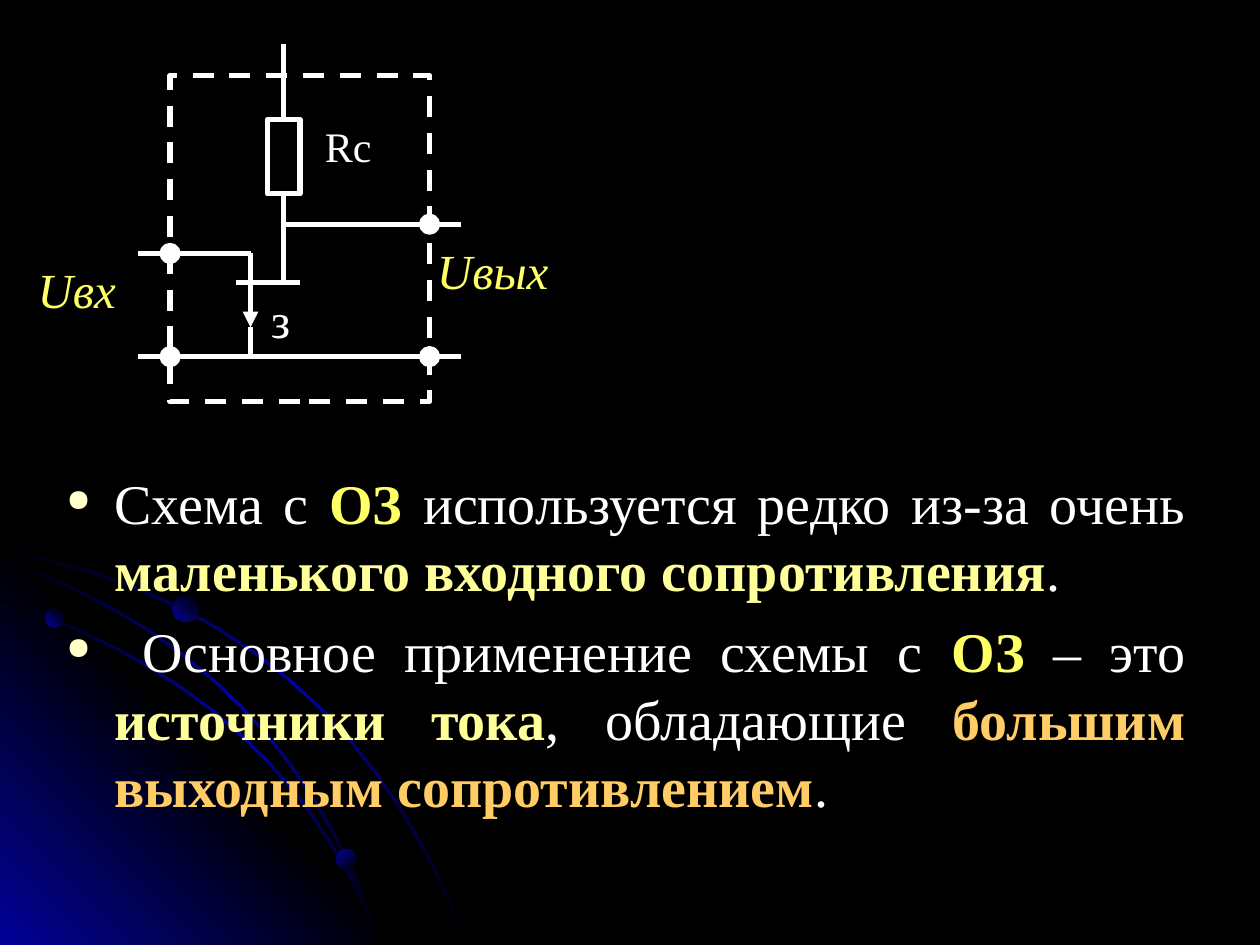
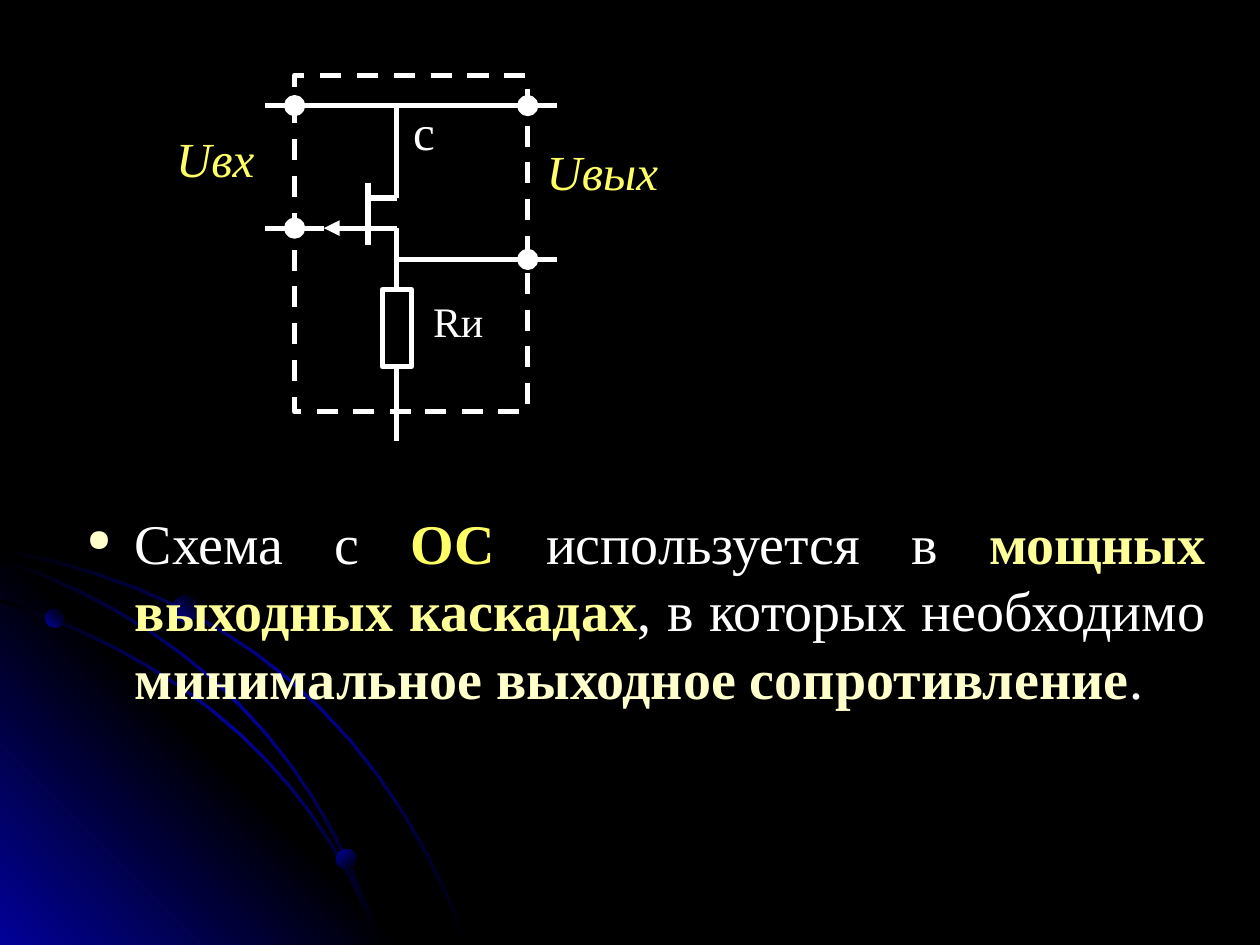
from lxml.etree import SubElement
from pptx import Presentation
from pptx.dml.color import RGBColor
from pptx.enum.dml import MSO_LINE
from pptx.enum.shapes import MSO_CONNECTOR, MSO_SHAPE
from pptx.enum.text import PP_ALIGN
from pptx.oxml.ns import qn
from pptx.util import Cm, Pt

# Shared style; plain numbers are centimetres
FONT = "Times New Roman"
BLACK = RGBColor(0x00, 0x00, 0x00)
BLUE = RGBColor(0x01, 0x01, 0x99)
WHITE = RGBColor(0xFF, 0xFF, 0xFF)
YELLOW = RGBColor(0xFF, 0xFF, 0x66)
PALE_YELLOW = RGBColor(0xFF, 0xFF, 0x99)
CREAM = RGBColor(0xFF, 0xFF, 0xCC)
ORANGE = RGBColor(0xFF, 0xCC, 0x66)

SLIDE_WIDTH, SLIDE_HEIGHT = 25.4, 19.05
WIRE_WIDTH = Pt(3)
TERMINAL_SIZE = 0.32
BODY_WIDTH = 23.06
BULLET_INDENT = Cm(0.97)

# Corner decoration: a glowing triangle, three orbits and three planets
CORNER_SIZE = 8.18
ORBIT_WIDTH = 0.07
ORBIT_STEPS = 14
ORBITS = [  # start on the left edge, control point of the bend, end on the bottom edge
    ((0, 11.05), (6.95, 12.3), (9.45, SLIDE_HEIGHT)),
    ((0, 12.07), (5.8, 13.95), (7.7, SLIDE_HEIGHT)),
    ((0, 11.23), (5.85, 13.25), (7.7, SLIDE_HEIGHT)),
]
PLANETS = [  # left, top, diameter, gradient angle
    (0.91, 12.27, 0.38, 135),
    (6.78, 17.12, 0.41, 225),
    (3.48, 12.01, 0.53, 135),
]

# Common gate: the source enters from the left, the gate is the lower rail
left, right, top, bottom = 3.43, 8.66, 1.52, 8.1
stub = 0.64
source_x, drain_x = 5.05, 5.72
output_y, source_y, channel_y, arrow_y, rail_y = 4.52, 5.11, 5.69, 6.6, 7.19
resistor_top, resistor_bottom = 2.41, 3.91
common_gate = {
    "frame": (left, top, right, bottom),
    "resistor": (drain_x, resistor_top, resistor_bottom, 0.66),
    "terminals": [(left, source_y), (left, rail_y), (right, output_y), (right, rail_y)],
    "wires": [
        [(left - stub, source_y), (source_x, source_y)],
        [(left - stub, rail_y), (right + stub, rail_y)],
        [(drain_x, output_y), (right + stub, output_y)],
        [(drain_x, top - stub), (drain_x, resistor_top)],
        [(drain_x, resistor_bottom), (drain_x, channel_y)],
        [(source_x - 0.3, channel_y), (drain_x + 0.33, channel_y)],
        [(source_x, arrow_y), (source_x, rail_y)],
    ],
    "arrow": [(source_x, source_y), (source_x, arrow_y)],
    "labels": [
        ("Rс", (6.3, 2.31, 2.62, 1.5), 24, WHITE),
        ("з", (5.21, 5.72, 1.63, 1.5), 28, WHITE),
        ("Uвх", (0.51, 5.11, 3.25, 1.8), 28, YELLOW),
        ("Uвых", (8.56, 4.72, 4.52, 1.78), 28, YELLOW),
    ],
    "body": (1.09, 9.32, BODY_WIDTH, 7.77),
    "bullets": [
        [("Схема с ", WHITE), ("ОЗ", YELLOW), (" используется редко из-за очень ", WHITE),
         ("маленького входного сопротивления", PALE_YELLOW), (".", WHITE)],
        [(" Основное применение схемы с ", WHITE), ("ОЗ", YELLOW), (" – это ", WHITE),
         ("источники тока", PALE_YELLOW), (", обладающие ", WHITE),
         ("большим выходным сопротивлением", ORANGE), (".", WHITE)],
    ],
}

# Common drain: the gate enters from the left, the drain is the upper rail
left, right, top, bottom = 5.94, 10.64, 1.52, 8.3
stub = 0.59
arrow_x, channel_x, source_x = 6.53, 7.42, 8
rail_y, drain_y, gate_y, output_y = 2.13, 3.99, 4.6, 5.23
resistor_top, resistor_bottom = 5.84, 7.39
common_drain = {
    "frame": (left, top, right, bottom),
    "resistor": (source_x, resistor_top, resistor_bottom, 0.58),
    "terminals": [(left, rail_y), (left, gate_y), (right, rail_y), (right, output_y)],
    "wires": [
        [(left - stub, gate_y), (arrow_x, gate_y)],
        [(left - stub, rail_y), (right + stub, rail_y)],
        [(source_x, output_y), (right + stub, output_y)],
        [(channel_x, drain_y - 0.31), (channel_x, gate_y + 0.33)],
        [(channel_x, drain_y), (source_x, drain_y), (source_x, rail_y)],
        [(channel_x, gate_y), (source_x, gate_y), (source_x, resistor_top)],
        [(source_x, resistor_bottom), (source_x, bottom + stub)],
    ],
    "arrow": [(channel_x, gate_y), (arrow_x, gate_y)],
    "labels": [
        ("Rи", (8.48, 5.84, 1.88, 1.55), 24, WHITE),
        ("с", (8.08, 1.93, 1.12, 1.24), 28, WHITE),
        ("Uвх", (3.3, 2.46, 2.95, 1.85), 28, YELLOW),
        ("Uвых", (10.77, 2.72, 3.53, 1.85), 28, YELLOW),
    ],
    "body": (1.5, 10.13, BODY_WIDTH, 6.17),
    "bullets": [
        [("Схема с ", WHITE), ("ОС", YELLOW), (" используется в ", WHITE),
         ("мощных выходных каскадах", PALE_YELLOW), (", в которых необходимо ", WHITE),
         ("минимальное выходное сопротивление", CREAM), (".", WHITE)],
    ],
}


def add_text(page, paragraphs, place, size, italic=False, bulleted=False):
    """Write paragraphs of (text, colour) spans; coloured words in bullets are bold."""
    box = page.shapes.add_textbox(*map(Cm, place))
    box.text_frame.word_wrap = True
    for number, spans in enumerate(paragraphs):
        para = box.text_frame.add_paragraph() if number else box.text_frame.paragraphs[0]
        for text, color in spans:
            span = para.add_run()
            span.text = text
            span.font.name = FONT
            span.font.size = Pt(size)
            span.font.italic = italic
            span.font.bold = bulleted and color != WHITE
            span.font.color.rgb = color
        if bulleted:
            para.alignment = PP_ALIGN.JUSTIFY
            para.space_before = Pt(8)
            properties = para._p.get_or_add_pPr()
            properties.set("marL", str(BULLET_INDENT))
            properties.set("indent", str(-BULLET_INDENT))
            bullet_color = SubElement(properties, qn("a:buClr"))
            SubElement(bullet_color, qn("a:srgbClr"), val=str(CREAM))
            SubElement(properties, qn("a:buSzPct"), val="55000")
            SubElement(properties, qn("a:buChar"), char="●")


def paint(shape, colors=(), angle=0, outlined=True):
    """Fill with nothing, one colour or an even gradient; outline in white or not at all."""
    shape.shadow.inherit = False
    if len(colors) > 1:
        shape.fill.gradient()
        shape.fill.gradient_angle = 360 - angle  # python-pptx counts anticlockwise
        stops = shape._element.spPr.find(qn("a:gradFill")).find(qn("a:gsLst"))
        stops.clear()
        for number, color in enumerate(colors):
            position = 100000 * number // (len(colors) - 1)
            stop = SubElement(stops, qn("a:gs"), pos=str(position))
            SubElement(stop, qn("a:srgbClr"), val=str(color))
    elif colors:
        shape.fill.solid()
        shape.fill.fore_color.rgb = colors[0]
    else:
        shape.fill.background()
    if outlined:
        shape.line.color.rgb = WHITE
        shape.line.width = WIRE_WIDTH
    else:
        shape.line.fill.background()


deck = Presentation()
deck.slide_width, deck.slide_height = Cm(SLIDE_WIDTH), Cm(SLIDE_HEIGHT)
deck.slide_master.background.fill.solid()
deck.slide_master.background.fill.fore_color.rgb = BLACK

for circuit in (common_gate, common_drain):
    page = deck.slides.add_slide(deck.slide_layouts[6])

    # Glowing corner
    corner = page.shapes.add_shape(MSO_SHAPE.RIGHT_TRIANGLE, 0, Cm(SLIDE_HEIGHT - CORNER_SIZE),
                                   Cm(CORNER_SIZE), Cm(CORNER_SIZE))
    paint(corner, [BLUE, BLACK, BLUE], 135, outlined=False)

    # Orbits: a quadratic curve out, and back along its inner edge
    for (x0, y0), (x1, y1), (x2, y2) in ORBITS:
        outer_edge, inner_edge = [], []
        for step in range(ORBIT_STEPS + 1):
            t = step / ORBIT_STEPS
            x = (1 - t) ** 2 * x0 + 2 * t * (1 - t) * x1 + t ** 2 * x2
            y = (1 - t) ** 2 * y0 + 2 * t * (1 - t) * y1 + t ** 2 * y2
            outer_edge.append((Cm(x), Cm(y)))
            inner_edge.append((Cm(x - ORBIT_WIDTH * t), Cm(y + ORBIT_WIDTH * (1 - t))))
        outline = outer_edge + inner_edge[::-1]
        builder = page.shapes.build_freeform(*outline[0])
        builder.add_line_segments(outline[1:], close=True)
        paint(builder.convert_to_shape(), [BLACK, BLUE, BLACK], 225, outlined=False)

    # Planets
    for x, y, size, angle in PLANETS:
        planet = page.shapes.add_shape(MSO_SHAPE.OVAL, Cm(x), Cm(y), Cm(size), Cm(size))
        paint(planet, [BLACK, BLUE], angle, outlined=False)

    # Explanation
    add_text(page, circuit["bullets"], circuit["body"], 32, bulleted=True)

    # Wires: a connector for each straight stretch; the last one is the arrow
    for wire in circuit["wires"] + [circuit["arrow"]]:
        for start, end in zip(wire, wire[1:]):
            stretch = page.shapes.add_connector(MSO_CONNECTOR.STRAIGHT, *map(Cm, start + end))
            stretch.line.color.rgb = WHITE
            stretch.line.width = WIRE_WIDTH
            SubElement(stretch._element.spPr, qn("a:effectLst"))
    SubElement(stretch.line._get_or_add_ln(), qn("a:tailEnd"), type="triangle")

    # Resistor, centred on its wire
    center_x, upper_y, lower_y, width = circuit["resistor"]
    resistor = page.shapes.add_shape(MSO_SHAPE.RECTANGLE, Cm(center_x - width / 2), Cm(upper_y),
                                     Cm(width), Cm(lower_y - upper_y))
    paint(resistor)

    # Dashed frame with terminals on its edges
    left, top, right, bottom = circuit["frame"]
    frame = page.shapes.add_shape(MSO_SHAPE.RECTANGLE, Cm(left), Cm(top),
                                  Cm(right - left), Cm(bottom - top))
    paint(frame)
    frame.line.dash_style = MSO_LINE.DASH
    for x, y in circuit["terminals"]:
        terminal = page.shapes.add_shape(
            MSO_SHAPE.OVAL, Cm(x - TERMINAL_SIZE / 2), Cm(y - TERMINAL_SIZE / 2),
            Cm(TERMINAL_SIZE), Cm(TERMINAL_SIZE))
        paint(terminal, [WHITE])

    # Circuit labels; the voltages are yellow and slanted
    for text, place, size, color in circuit["labels"]:
        add_text(page, [[(text, color)]], place, size, italic=color == YELLOW)

deck.save("out.pptx")
